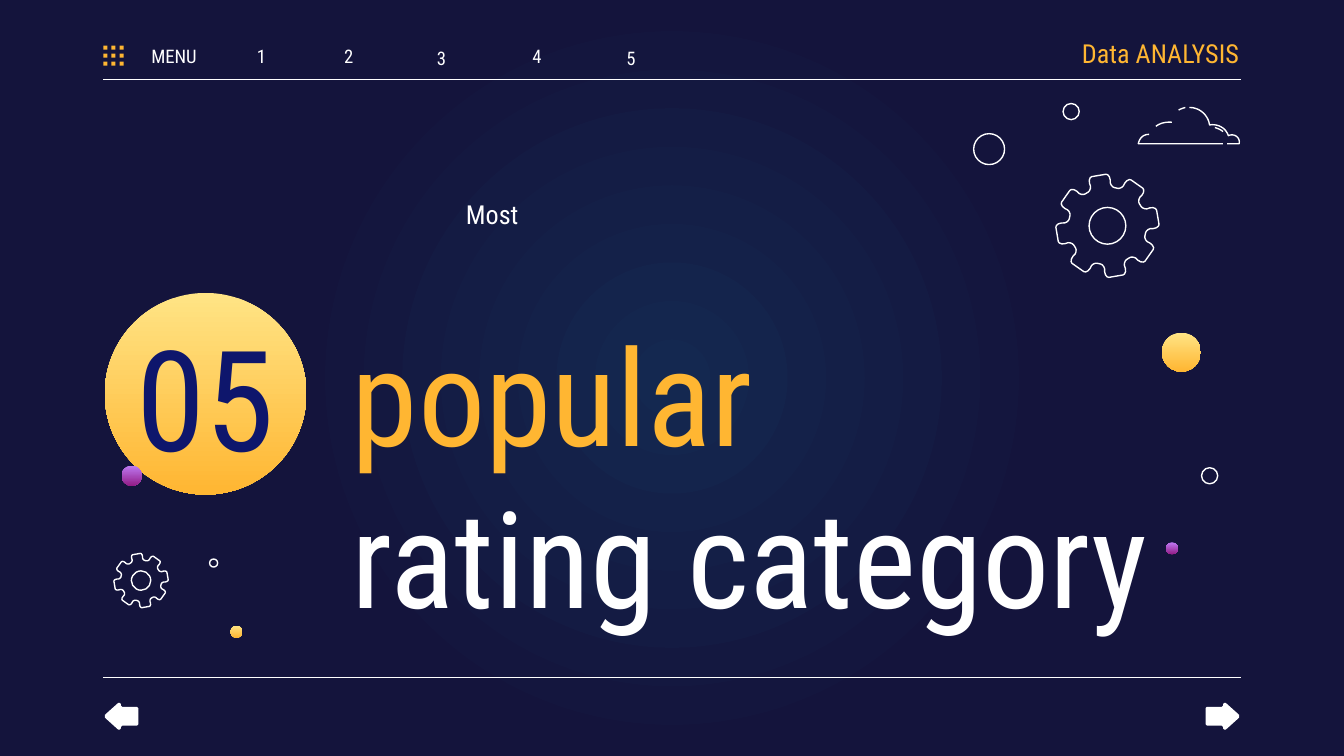
"""Build the section slide for the most popular rating category."""
from math import cos, radians, sin

from lxml.etree import SubElement
from pptx import Presentation
from pptx.dml.color import RGBColor
from pptx.enum.shapes import MSO_CONNECTOR, MSO_SHAPE
from pptx.enum.text import MSO_ANCHOR as Anchor, PP_ALIGN as Align
from pptx.oxml import parse_xml
from pptx.oxml.ns import nsdecls, qn
from pptx.util import Inches, Pt

FONT = "Roboto Condensed"
WIDTH = 10
HEIGHT = WIDTH * 9 / 16
COLORS = {
    "glow": "142850", "night": "14143C", "white": "FFFFFF", "orange": "FFB632",
    "yellow": "FFE485", "lilac": "BE7AF3", "purple": "921D87", "navy": "0E166C",
}
GOLD, VIOLET = ("yellow", "orange"), ("lilac", "purple")

RULES = [0.59, 5.04]
RULE_LEFT, RULE_RIGHT = 0.77, 9.23
BADGE = (1.53, 2.93, 0.75, GOLD)
DOTS = [
    (8.79, 2.62, 0.145, GOLD), (0.98, 3.54, 0.075, VIOLET),
    (1.76, 4.7, 0.045, GOLD), (8.72, 4.08, 0.045, VIOLET),
]
RINGS = [(7.97, 0.83, 0.06), (9, 3.54, 0.06), (7.36, 1.11, 0.115), (1.59, 4.19, 0.03)]
GEARS = [(8.24, 1.68, 0.38), (1.05, 4.32, 0.2)]
TEETH, TILT = 8, -9.7
TOOTH = [
    (-20, 0.76), (-17.5, 0.77), (-15, 0.8), (-13.5, 0.84), (-13.2, 0.9),
    (-12, 0.96), (-10, 1), (-8, 1.01), (8, 1.01), (10, 1), (12, 0.96),
    (13.2, 0.9), (13.5, 0.84), (15, 0.8), (17.5, 0.77), (20, 0.76),
]
CLOUD = [
    [[(8.85, 0.8), (8.93, 0.8), (8.99, 0.86), (9, 0.93)],
     [(9, 0.93), (9.06, 0.92), (9.12, 0.95), (9.14, 1.01)],
     [(9.14, 1.01), (9.18, 0.99), (9.23, 1.02), (9.22, 1.07)],
     [(9.22, 1.07), (9.22, 1.07), (9.13, 1.07), (9.13, 1.07)]],
    [[(8.82, 0.8), (8.82, 0.8), (8.78, 0.81), (8.77, 0.82)]],
    [[(9.1, 1.07), (9.1, 1.07), (8.47, 1.07), (8.47, 1.07)],
     [(8.47, 1.07), (8.47, 1.07), (8.48, 1), (8.55, 1)]],
    [[(9.04, 0.95), (9.04, 0.95), (9.08, 0.96), (9.1, 0.98)]],
    [[(8.72, 0.91), (8.72, 0.91), (8.65, 0.9), (8.6, 0.94)]],
]
ARROW = [
    (9.12, 5.43), (9.22, 5.34), (9.22, 5.32), (9.12, 5.23), (9.11, 5.23),
    (9.1, 5.24), (9.1, 5.25), (9.09, 5.26), (8.98, 5.26), (8.97, 5.27),
    (8.97, 5.39), (8.98, 5.4), (9.09, 5.4), (9.1, 5.41), (9.1, 5.42), (9.11, 5.43),
]
MENU = [("MENU", 1.01, 0.3), ("1", 1.66, 0.3), ("2", 2.31, 0.3),
        ("3", 3, 0.32), ("4", 3.71, 0.3), ("5", 4.41, 0.32)]
GRID_LEFT, GRID_TOP, GRID_STEP, GRID_SIZE = 0.77, 0.34, 0.06, 0.03


def rgb(name):
    return RGBColor.from_string(COLORS[name])


def style(shape, fill=None, line=None):
    shape.shadow.inherit = False
    if isinstance(fill, tuple):
        shape.fill.gradient()
        shape.fill.gradient_angle = 270
        for stop, name in zip(shape.fill.gradient_stops, fill):
            stop.color.rgb = rgb(name)
    elif fill:
        shape.fill.solid()
        shape.fill.fore_color.rgb = rgb(fill)
    else:
        shape.fill.background()
    if line:
        shape.line.color.rgb = rgb(line)
        shape.line.width = Pt(0.75)
    else:
        shape.line.fill.background()


def add_circle(shapes, x, y, radius, fill=None, line=None):
    box = [Inches(value) for value in (x - radius, y - radius, 2 * radius, 2 * radius)]
    style(shapes.add_shape(MSO_SHAPE.OVAL, *box), fill, line)


def add_outline(shapes, points, close=True, fill=None, line=None):
    start, *rest = [(Inches(x), Inches(y)) for x, y in points]
    builder = shapes.build_freeform(*start)
    builder.add_line_segments(rest, close=close)
    style(builder.convert_to_shape(), fill, line)


def curve_points(curve, steps=10):
    for step in range(steps + 1):
        t = step / steps
        weights = ((1 - t) ** 3, 3 * t * (1 - t) ** 2, 3 * t * t * (1 - t), t ** 3)
        yield tuple(sum(w * p[axis] for w, p in zip(weights, curve)) for axis in (0, 1))


def add_gear(shapes, x, y, radius):
    points = []
    for tooth in range(TEETH):
        for offset, reach in TOOTH:
            angle = radians(TILT + tooth * 360 / TEETH + offset)
            points.append((x + radius * reach * cos(angle), y + radius * reach * sin(angle)))
    add_outline(shapes, points, line="white")
    add_circle(shapes, x, y, radius * 0.36, line="white")


def add_text(shapes, text, box, size, colors, align=Align.CENTER,
             anchor=Anchor.MIDDLE, insets=(0.1, 0.1, 0.1, 0.1)):
    frame = shapes.add_textbox(*[Inches(value) for value in box]).text_frame
    frame.word_wrap = True
    frame.vertical_anchor = anchor
    (frame.margin_left, frame.margin_top,
     frame.margin_right, frame.margin_bottom) = [Inches(value) for value in insets]
    paragraph = frame.paragraphs[0]
    paragraph.text = text
    paragraph.alignment = align
    for run, color in zip(paragraph.runs, colors):
        run.font.name = FONT
        run.font.size = Pt(size)
        run.font.color.rgb = rgb(color)


def set_background(slide):
    stops = "".join(
        f'<a:gs pos="{position}"><a:srgbClr val="{COLORS[name]}"/></a:gs>'
        for position, name in ((0, "glow"), (50000, "night"), (100000, "night")))
    slide.element.cSld.insert(0, parse_xml(
        f'<p:bg {nsdecls("p", "a")}><p:bgPr><a:gradFill><a:gsLst>{stops}</a:gsLst>'
        '<a:path path="circle"><a:fillToRect l="50000" t="50000" r="50000" b="50000"/>'
        '</a:path></a:gradFill><a:effectLst/></p:bgPr></p:bg>'))


def main():
    presentation = Presentation()
    presentation.slide_width, presentation.slide_height = Inches(WIDTH), Inches(HEIGHT)
    slide = presentation.slides.add_slide(presentation.slide_layouts[6])
    shapes = slide.shapes
    set_background(slide)

    for y in RULES:
        rule = shapes.add_connector(MSO_CONNECTOR.STRAIGHT, Inches(RULE_LEFT), Inches(y),
                                    Inches(RULE_RIGHT), Inches(y))
        rule.line.color.rgb = rgb("white")
        rule.line.width = Pt(0.75)
        SubElement(rule.element.spPr, qn("a:effectLst"))

    for x, y, radius, fill in [BADGE] + DOTS:
        add_circle(shapes, x, y, radius, fill=fill)
    for ring in RINGS:
        add_circle(shapes, *ring, line="white")
    for gear in GEARS:
        add_gear(shapes, *gear)

    cloud = shapes.add_group_shape()
    for stroke in CLOUD:
        points = [point for curve in stroke for point in curve_points(curve)]
        add_outline(cloud.shapes, points, close=False, line="white")

    add_outline(shapes, ARROW, fill="white")
    add_outline(shapes, [(WIDTH - x, y) for x, y in ARROW], fill="white")

    grid = shapes.add_group_shape()
    for index in range(9):
        column, row = divmod(index, 3)
        square = grid.shapes.add_shape(
            MSO_SHAPE.RECTANGLE, Inches(GRID_LEFT + column * GRID_STEP),
            Inches(GRID_TOP + row * GRID_STEP), Inches(GRID_SIZE), Inches(GRID_SIZE))
        style(square, fill="orange")

    for label, left, top in MENU:
        add_text(shapes, label, (left, top, 0.57, 0.23), 10, ["white"],
                 insets=(0, 0.1, 0, 0.1))
    add_text(shapes, "Data ANALYSIS", (7.72, 0.23, 1.5, 0.33), 14, ["orange"],
             Align.RIGHT, insets=(0.1, 0.1, 0, 0.1))
    add_text(shapes, "05", (0.78, 2.53, 1.5, 0.83), 75, ["navy"])
    add_text(shapes, "popular\vrating category", (2.52, 1.97, 7.11, 1.9), 72,
             ["orange", "white"], Align.LEFT, insets=(0.1, 1.31, 0.1, 0.1))
    add_text(shapes, "Most ", (2.68, 1.43, 2.01, 0.71), 14, ["white"],
             anchor=Anchor.TOP, insets=(0.1, 0.05, 0.1, 0.05))
    presentation.save("out.pptx")


if __name__ == "__main__":
    main()
